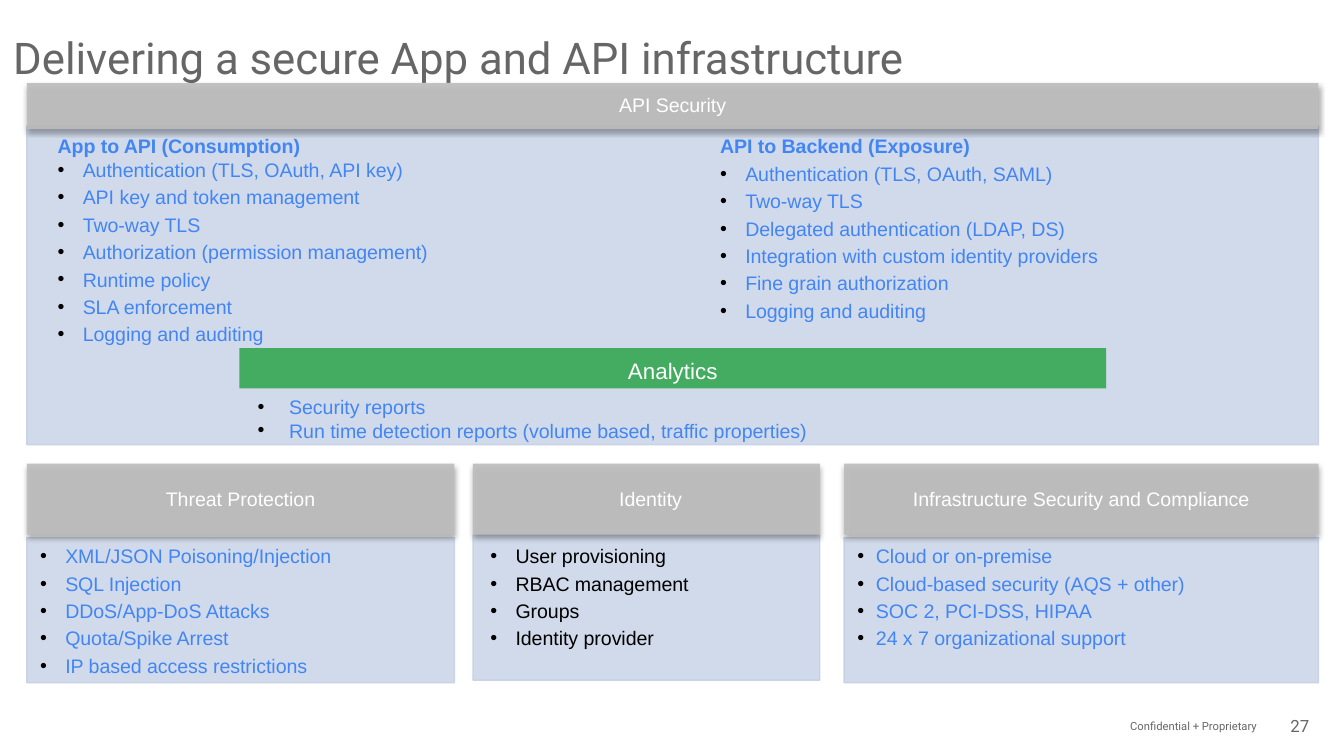
from dataclasses import dataclass

from lxml import etree
from pptx import Presentation
from pptx import util as u
from pptx.dml import color as col
from pptx.enum import shapes, text
from pptx.oxml import ns


@dataclass(frozen=True)
class Theme:
    grey: str = "666666"
    band: str = "BDBDBD"
    panel: str = "CCD6E8"
    edge: str = "C7D1E4"
    green: str = "34A853"
    blue: str = "4285F4"
    black: str = "000000"
    white: str = "FFFFFF"
    sans: str = "Arial"
    head: str = "Roboto"
    title: float = 23.4
    large: float = 12
    body: float = 10.5
    page: float = 9
    small: float = 6
    clear: int = 90


class Deck:
    """Draws styled elements on the current slide, with lengths in points."""

    def __init__(self, theme):
        self.theme = theme
        self.prs = Presentation()
        self.prs.slide_width, self.prs.slide_height = u.Pt(720), u.Pt(405)
        self.slide = self.prs.slides.add_slide(self.prs.slide_layouts[6])

    def child(self, node, tag, **attrs):
        return etree.SubElement(node, ns.qn("a:" + tag), attrs)

    def tint(self, fill, tone):
        fill.solid()
        fill.fore_color.rgb = col.RGBColor.from_string(tone)
        for node in fill._xPr.iter(ns.qn("a:srgbClr")):
            if node.get("val") == tone and not len(node):
                self.child(node, "alpha", val=str(self.theme.clear * 1000))

    def rect(self, area, tone, edge=None):
        kind = shapes.MSO_SHAPE.RECTANGLE
        shape = self.slide.shapes.add_shape(kind, *map(u.Pt, area))
        shape.shadow.inherit = False
        self.tint(shape.fill, tone)
        if edge:
            shape.line.width = u.Pt(0.75)
            self.tint(shape.line.fill, edge)
        else:
            shape.line.fill.background()
        return shape

    def shade(self, shape):
        glow = shape._element.spPr.find(ns.qn("a:effectLst"))
        cast = self.child(glow, "outerShdw", blurRad=str(u.Pt(3.1)),
                          dist=str(u.Pt(1.8)), dir="5400000", rotWithShape="0")
        tone = self.child(cast, "srgbClr", val=self.theme.black)
        self.child(tone, "alpha", val="35000")

    def frame(self, shape, pad, mid=False):
        box = shape.text_frame
        box.word_wrap = True
        anchor = text.MSO_ANCHOR
        box.vertical_anchor = anchor.MIDDLE if mid else anchor.TOP
        box.margin_left, box.margin_top, box.margin_right, box.margin_bottom = map(u.Pt, pad)
        return box

    def style(self, par, size, tone, face, bold=False):
        for run in par.runs:
            run.font.size, run.font.name, run.font.bold = u.Pt(size), face, bold
            run.font.color.rgb = col.RGBColor.from_string(tone)

    def line(self, box, words, size, tone, face, align="LEFT"):
        box.text = words
        par = box.paragraphs[0]
        par.alignment = text.PP_ALIGN[align]
        self.style(par, size, tone, face)

    def label(self, area, words, size, align="LEFT", mid=True):
        shape = self.slide.shapes.add_textbox(*map(u.Pt, area))
        box = self.frame(shape, (7.2,) * 4, mid)
        self.line(box, words, size, self.theme.grey, self.theme.head, align)

    def band(self, area, words, size, tone, pad, mid=False, shade=True):
        shape = self.rect(area, tone)
        if shade:
            self.shade(shape)
        box = self.frame(shape, pad, mid)
        self.line(box, words, size, self.theme.white, self.theme.sans, "CENTER")

    def panel(self, area):
        return self.rect(area, self.theme.panel, self.theme.edge)

    def bullet(self, par, indent):
        props = par._p.get_or_add_pPr()
        props.set("marL", str(u.Pt(indent)))
        props.set("indent", str(-u.Pt(indent)))
        tone = self.child(props, "buClr")
        self.child(tone, "srgbClr", val=self.theme.black)
        self.child(props, "buFont", typeface=self.theme.sans)
        self.child(props, "buChar", char="•")

    def items(self, shape, rows, pad, tone, indent=13.5, gap=2.1, head=None, lead=0):
        box = self.frame(shape, pad)
        box.text = "\n".join(([head] if head else []) + rows)
        for num, par in enumerate(box.paragraphs):
            top = bool(head) and num == 0
            par.alignment = text.PP_ALIGN.LEFT
            par.space_after = u.Pt(lead if top else gap)
            if not top:
                self.bullet(par, indent)
            self.style(par, self.theme.body, tone, self.theme.sans, top)

    def notes(self, area, rows, pad, **kind):
        shape = self.slide.shapes.add_textbox(*map(u.Pt, area))
        self.items(shape, rows, pad, self.theme.blue, **kind)

    def card(self, left, top, wide, name, rows, tone, indent=13.5, shift=0):
        self.panel((left, top, wide, 77.8))
        self.band((left, 248.4, wide, 38), name, self.theme.body, self.theme.band,
                  (7.2 + 2 * shift, 3.6, 7.2, 3.6), mid=True)
        area = (left + shift, 288, wide, 77.8)
        tone_rows = self.slide.shapes.add_textbox(*map(u.Pt, area))
        self.items(tone_rows, rows, (7.2, 3.6, 7.2, 3.6), tone, indent)


def main():
    t = Theme()
    deck = Deck(t)
    deck.label((400.3, 378, 280, 21.6), "Confidential + Proprietary", t.small, "RIGHT")
    deck.label((665.3, 378, 43.2, 21.6), "27", t.page, "RIGHT")
    deck.panel((14.4, 67.7, 692, 170.6))
    deck.label((0, 9.4, 653.8, 21.6), "Delivering a secure App and API infrastructure",
               t.title, mid=False)
    deck.band((14.4, 44.6, 692, 24.5), "API Security", t.body, t.band, (7.2, 5, 7.2, 0))
    deck.notes((378.7, 72, 328.3, 124.6), [
        "Authentication (TLS, OAuth, SAML)", "Two-way TLS",
        "Delegated authentication (LDAP, DS)",
        "Integration with custom identity providers",
        "Fine grain authorization", "Logging and auditing"],
        (7.2, 0, 9.4, 10.8), head="API to Backend (Exposure)", lead=2.1)
    deck.notes((23.8, 72, 319, 124.6), [
        "Authentication (TLS, OAuth, API key)", "API key and token management",
        "Two-way TLS", "Authorization (permission management)",
        "Runtime policy", "SLA enforcement", "Logging and auditing"],
        (7.2, 0, 7.2, 3.6), head="App to API (Consumption)")
    deck.card(14.4, 288, 229, "Threat Protection", [
        "XML/JSON Poisoning/Injection", "SQL Injection", "DDoS/App-DoS Attacks",
        "Quota/Spike Arrest", "IP based access restrictions"], t.blue)
    deck.card(253.4, 286.6, 185.8, "Identity", [
        "User provisioning", "RBAC management", "Groups", "Identity provider"],
        t.black, shift=2.2)
    deck.card(452.2, 288, 254.2, "Infrastructure Security and Compliance", [
        "Cloud or on-premise", "Cloud-based security (AQS + other)",
        "SOC 2, PCI-DSS, HIPAA", "24 x 7 organizational support"], t.blue, indent=10)
    deck.band((128.2, 186.5, 464.4, 21.6), "Analytics", t.large, t.green,
              (7.2, 5, 7.2, 0), shade=False)
    deck.notes((131, 208.1, 453.6, 33.8), [
        "Security reports",
        "Run time detection reports (volume based, traffic properties)"],
        (7.2, 3.6, 7.2, 3.6), indent=16.9, gap=0)
    deck.prs.save("out.pptx")


if __name__ == "__main__":
    main()
